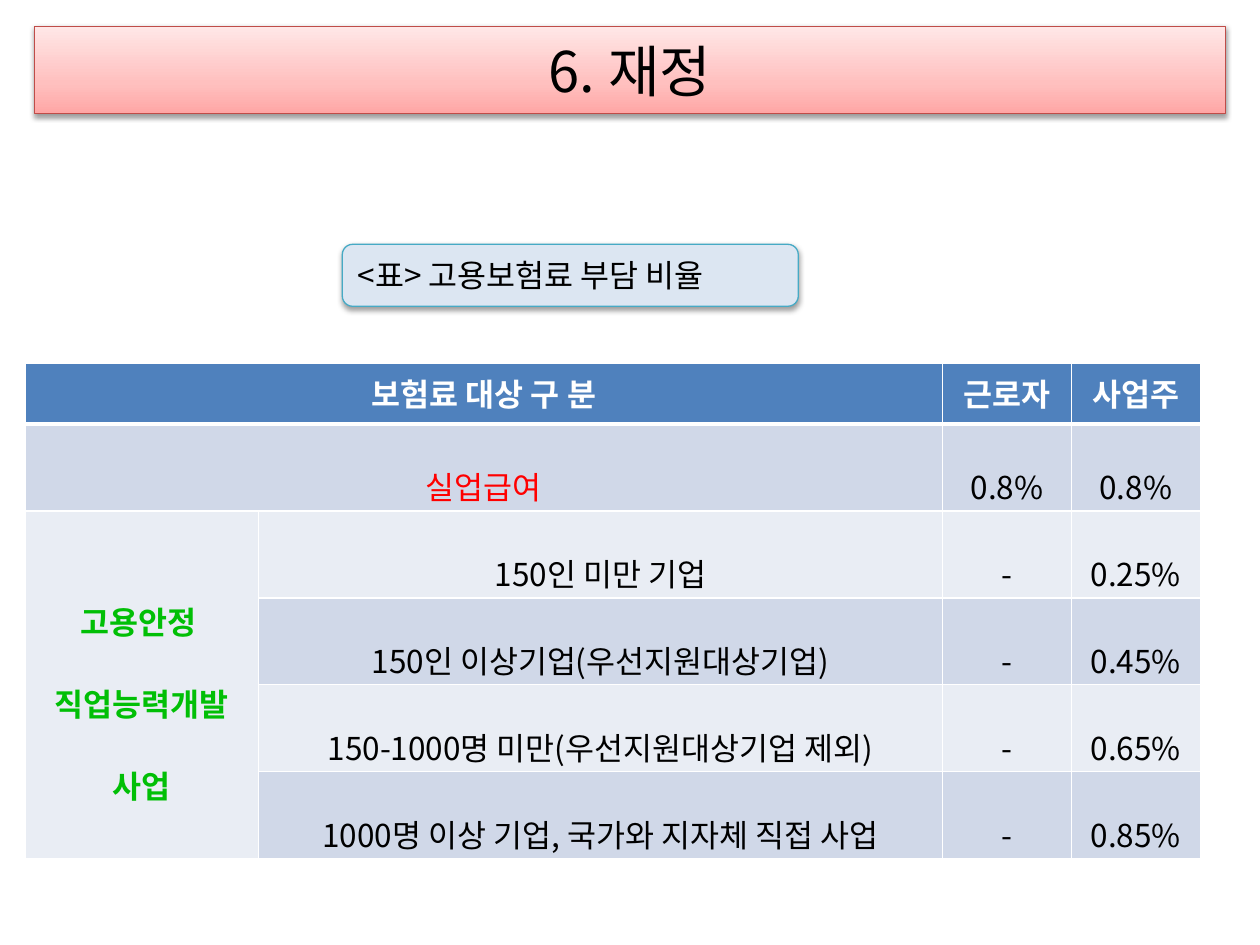
"""Build the slide on employment insurance finances."""
from pptx import Presentation
from pptx.dml.color import RGBColor
from pptx.enum.shapes import MSO_SHAPE as Shape
from pptx.enum.text import MSO_ANCHOR as Anchor, PP_ALIGN as Align
from pptx.oxml import parse_xml
from pptx.oxml.ns import qn
from pptx.util import Pt

FONT = "Noto Sans CJK KR"
NS = 'xmlns:a="http://schemas.openxmlformats.org/drawingml/2006/main"'
BLACK = RGBColor(0x00, 0x00, 0x00)
WHITE = RGBColor(0xFF, 0xFF, 0xFF)
RED = RGBColor(0xFF, 0x00, 0x00)
GREEN = RGBColor(0x01, 0xBF, 0x06)
BLUE = RGBColor(0x4F, 0x81, 0xBD)
BAND_DARK = RGBColor(0xD0, 0xD8, 0xE8)
BAND_LIGHT = RGBColor(0xE9, 0xED, 0xF4)
CAPTION_FILL = RGBColor(0xDC, 0xE6, 0xF2)
CAPTION_LINE = RGBColor(0x46, 0xAA, 0xC5)
TITLE_LINE = RGBColor(0xBF, 0x4C, 0x48)
TITLE_STOPS = [(0, RGBColor(0xFF, 0xA6, 0xA5)), (35, RGBColor(0xFF, 0xC0, 0xBF)),
               (100, RGBColor(0xFF, 0xE7, 0xE7))]

TITLE = "6. 재정"
CAPTION = "<표> 고용보험료 부담 비율"
ROWS = [
    ("보험료 대상 구 분", None, "근로자", "사업주"),
    ("실업급여", None, "0.8%", "0.8%"),
    ("고용안정 \n직업능력개발\n사업", "150인 미만 기업", "-", "0.25%"),
    (None, "150인 이상기업(우선지원대상기업)", "-", "0.45%"),
    (None, "150-1000명 미만(우선지원대상기업 제외)", "-", "0.65%"),
    (None, "1000명 이상 기업, 국가와 지자체 직접 사업", "-", "0.85%"),
]
COL_WIDTHS = [133.2, 391, 73.7, 73.7]
ROW_HEIGHTS = [34.5, 27.4] + [31.7] * 4
MERGES = [((0, 0), (0, 1)), ((1, 0), (1, 1)), ((2, 0), (5, 0))]
TEXT_STYLES = {(1, 0): (RED, False), (2, 0): (GREEN, True)}


def style_text(tf, size, color, align, bold=False, spacing=None):
    for p in tf.paragraphs:
        p.alignment = align
        p.line_spacing = spacing
        for r in p.runs:
            r.font.name, r.font.size, r.font.bold = FONT, Pt(size), bold
            r.font.color.rgb = color
            r.font._element.find(qn("a:latin")).addnext(
                parse_xml(f'<a:ea {NS} typeface="{FONT}"/>'))


def add_box(s, kind, box, text, size, fill, line, align):
    sp = s.shapes.add_shape(kind, *map(Pt, box))
    sp.fill.solid()
    sp.fill.fore_color.rgb = fill
    sp.line.color.rgb = line
    sp.line.width = Pt(0.75)
    sp.shadow.inherit = False
    sp._element.spPr.find(qn("a:effectLst")).append(parse_xml(
        f'<a:outerShdw {NS} blurRad="{Pt(3.1)}" dist="{Pt(1.6)}" dir="5400000" '
        'rotWithShape="0"><a:srgbClr val="000000"><a:alpha val="38000"/>'
        '</a:srgbClr></a:outerShdw>'))
    tf = sp.text_frame
    tf.word_wrap = True
    tf.vertical_anchor = Anchor.MIDDLE
    tf.text = text
    style_text(tf, size, BLACK, align)
    return sp


def set_gradient(sp, stops):
    spPr = sp._element.spPr
    gs = "".join(f'<a:gs pos="{pos * 1000}"><a:srgbClr val="{color}"/></a:gs>'
                 for pos, color in stops)
    spPr.replace(spPr.find(qn("a:solidFill")), parse_xml(
        f'<a:gradFill {NS} rotWithShape="1"><a:gsLst>{gs}</a:gsLst>'
        '<a:lin ang="16200000" scaled="0"/></a:gradFill>'))


def set_borders(cell, widths):
    tcPr = cell._tc.get_or_add_tcPr()
    for i, (side, width) in enumerate(widths.items()):
        tcPr.insert(i, parse_xml(
            f'<a:ln{side} {NS} w="{Pt(width)}"><a:solidFill>'
            f'<a:srgbClr val="{WHITE}"/></a:solidFill></a:ln{side}>'))


def add_rate_table(s):
    table = s.shapes.add_table(len(ROWS), len(COL_WIDTHS), Pt(14.4), Pt(207.7),
                               Pt(sum(COL_WIDTHS)), Pt(sum(ROW_HEIGHTS))).table
    for column, width in zip(table.columns, COL_WIDTHS):
        column.width = Pt(width)
    for row, height in zip(table.rows, ROW_HEIGHTS):
        row.height = Pt(height)
    for first, last in MERGES:
        table.cell(*first).merge(table.cell(*last))
    for i, row in enumerate(ROWS):
        header = i == 0
        for j, text in enumerate(row):
            cell = table.cell(i, j)
            cell.fill.solid()
            cell.fill.fore_color.rgb = BLUE if header else BAND_DARK if i % 2 else BAND_LIGHT
            set_borders(cell, {"L": 1, "R": 1, "T": 3 if i == 1 else 1, "B": 3 if header else 1})
            if not header:
                cell.vertical_anchor = Anchor.MIDDLE
                cell.margin_left = cell.margin_right = Pt(5.1)
                cell.margin_top = cell.margin_bottom = Pt(1.4)
            if text:
                cell.text_frame.text = text
                color, bold = TEXT_STYLES.get((i, j), (WHITE if header else BLACK, header))
                style_text(cell.text_frame, 18, color, Align.CENTER, bold,
                           None if header else 1.8)


def main():
    prs = Presentation()
    prs.slide_width, prs.slide_height = Pt(720), Pt(540)
    s = prs.slides.add_slide(prs.slide_layouts[6])
    title = add_box(s, Shape.RECTANGLE, (19.8, 15, 680.4, 50), TITLE, 32,
                    TITLE_STOPS[0][1], TITLE_LINE, Align.CENTER)
    set_gradient(title, TITLE_STOPS)
    add_rate_table(s)
    add_box(s, Shape.ROUNDED_RECTANGLE, (195.6, 139.6, 260.6, 35.4), CAPTION, 18,
            CAPTION_FILL, CAPTION_LINE, Align.LEFT)
    prs.save("out.pptx")


if __name__ == "__main__":
    main()
